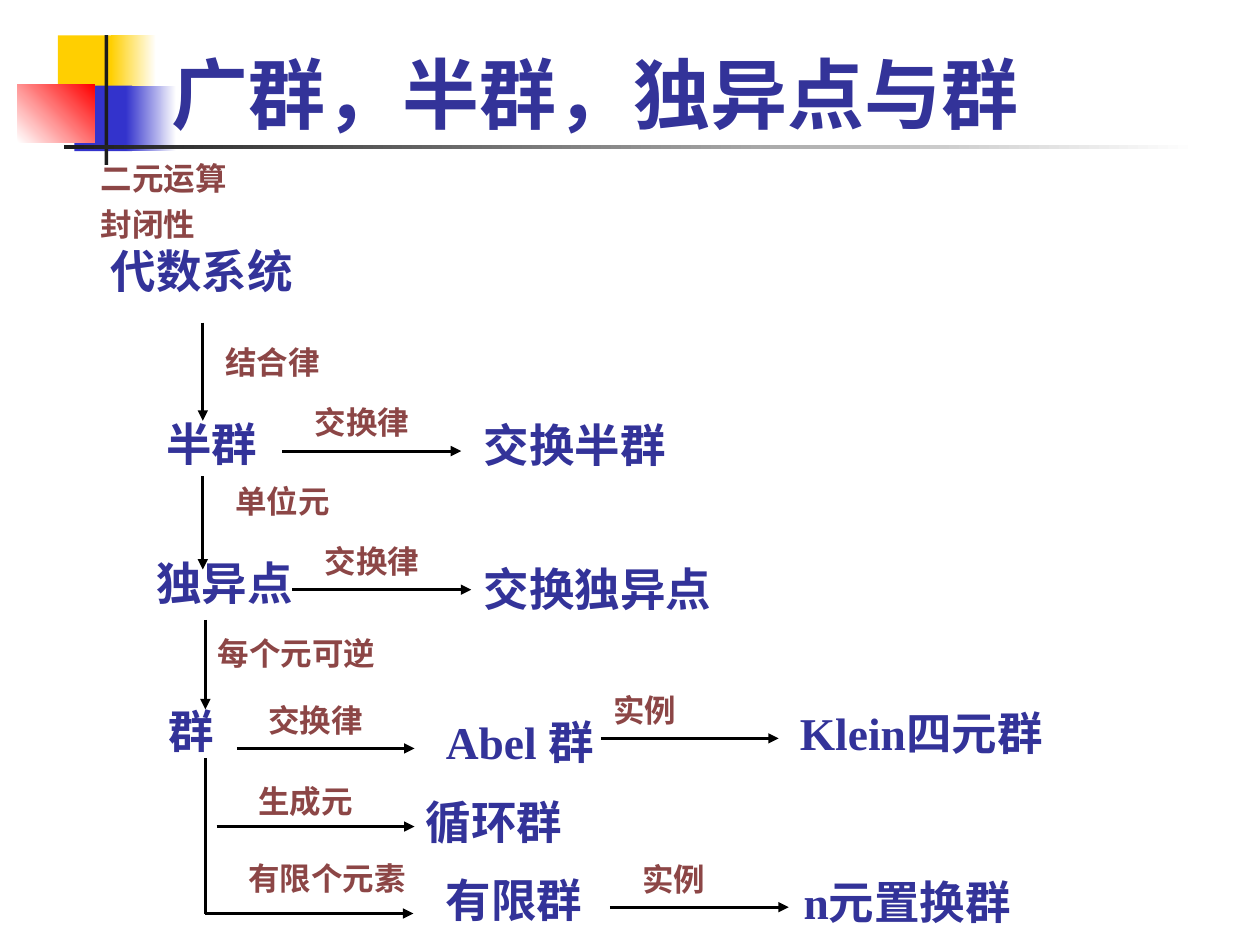
import pptx
import pptx.dml.color
import pptx.enum.shapes
import pptx.enum.text
import pptx.oxml
import pptx.oxml.ns
import pptx.util
from pptx.util import Inches

THEME = {
    "title": {"size": 44, "color": "333399"},
    "term": {"size": 26, "color": "333399", "before": 16.2, "height": 0.54},
    "label": {"size": 18, "color": "8C4646", "before": 6.8, "spacing": 0.9, "height": 0.37},
    "sans": "Roboto",
    "serif": "Times New Roman",
    "arrow": "000000",
    "arrow_width": 1.75,
    "yellow": "FFCF01",
    "blue": "3333CC",
    "red": "FF0000",
    "dark": "1C1C1C",
    "white": "FFFFFF",
}
TITLE = ("广群，半群，独异点与群", 1.26, 0.08, 8.52, 1.07)

ORNAMENTS = [
    (0.46, 0.28, 0.48, 0.52, ["yellow"], 0),
    (0.88, 0.28, 0.36, 0.52, ["yellow", "white"], 0),
    (0.59, 0.68, 0.46, 0.52, ["blue"], 0),
    (1, 0.68, 0.4, 0.52, ["blue", "white"], 0),
    (0.14, 0.67, 0.61, 0.46, ["white", "red"], 45),
    (0.83, 0.28, 0.03, 1.03, ["dark"], 0),
    (0.51, 1.15, 9, 0.03, ["dark", "white"], 0),
]

TERMS = [
    ([("代数系统", "sans")], 0.78, 1.88, 2.06),
    ([("半群", "sans")], 1.22, 3.25, 1.1),
    ([("独异点", "sans")], 1.14, 4.36, 1.42),
    ([("群", "sans")], 1.24, 5.53, 0.71),
    ([("交换半", "serif"), ("群", "sans")], 3.74, 3.26, 1.89),
    ([("交换独异点", "serif")], 3.74, 4.4, 2.44),
    ([("Abel ", "serif"), ("群", "sans")], 3.44, 5.62, 1.57),
    ([("循环群", "sans")], 3.28, 6.25, 1.57),
    ([("有限群", "sans")], 3.44, 6.87, 1.57),
    ([("Klein", "serif"), ("四元群", "sans")], 6.25, 5.55, 2.28),
    ([("n", "serif"), ("元置换群", "sans")], 6.28, 6.89, 2.2),
]

LABELS = [
    (["二元运算", "封闭性"], 0.7, 1.25, 1.34),
    (["结合律"], 1.69, 2.71, 1.34),
    (["单位元"], 1.77, 3.81, 1.34),
    (["每个元可逆"], 1.63, 5.02, 1.65),
    (["交换律"], 2.4, 3.18, 1.34),
    (["交换律"], 2.48, 4.29, 1.34),
    (["交换律"], 2.03, 5.55, 1.34),
    (["生成元"], 1.95, 6.19, 1.34),
    (["有限个元素"], 1.87, 6.8, 1.65),
    (["实例"], 4.77, 5.47, 1.34),
    (["实例"], 5, 6.81, 1.34),
]

DOWN_ARROWS = [(1.61, 2.56, 3.34), (1.61, 3.78, 4.52), (1.63, 4.92, 5.63)]
RIGHT_ARROWS = [
    (3.58, 2.24, 3.66),
    (4.68, 2.32, 3.74),
    (5.94, 1.88, 3.29),
    (6.56, 1.72, 3.29),
    (7.25, 1.63, 3.28),
    (5.86, 4.77, 6.18),
    (7.2, 4.84, 6.26),
]
TRUNK = (1.63, 6.02, 1.63, 7.25)


def rgb(value):
    return pptx.dml.color.RGBColor.from_string(value)


def add_ornament(slide, left, top, width, height, colors, angle):
    shape = slide.shapes.add_shape(
        pptx.enum.shapes.MSO_SHAPE.RECTANGLE, *map(Inches, (left, top, width, height)))
    shape.shadow.inherit = False
    shape.line.fill.background()
    if len(colors) == 1:
        shape.fill.solid()
        shape.fill.fore_color.rgb = rgb(THEME[colors[0]])
        return
    shape.fill.gradient()
    shape.fill.gradient_angle = angle
    for stop, color in zip(shape.fill.gradient_stops, colors):
        stop.color.rgb = rgb(THEME[color])


def add_text(slide, paragraphs, style, left, top, width, height):
    box = slide.shapes.add_textbox(*map(Inches, (left, top, width, height)))
    frame = box.text_frame
    frame.word_wrap = True
    frame.text = "\n".join("" for _ in paragraphs)
    for paragraph, runs in zip(frame.paragraphs, paragraphs):
        paragraph.space_before = pptx.util.Pt(style.get("before", 0))
        paragraph.line_spacing = style.get("spacing", 1.0)
        for text, face in runs:
            run = paragraph.add_run()
            run.text = text
            run.font.name = THEME[face]
            run.font.size = pptx.util.Pt(style["size"])
            run.font.bold = True
            run.font.color.rgb = rgb(style["color"])
            east_asian = pptx.oxml.parse_xml(
                f'<a:ea {pptx.oxml.ns.nsdecls("a")} typeface="{THEME["sans"]}"/>')
            run.font._element.append(east_asian)
    return frame


def add_line(slide, start_x, start_y, end_x, end_y, arrow=True):
    connector = slide.shapes.add_connector(
        pptx.enum.shapes.MSO_CONNECTOR.STRAIGHT,
        *map(Inches, (start_x, start_y, end_x, end_y)))
    connector.line.color.rgb = rgb(THEME["arrow"])
    connector.line.width = pptx.util.Pt(THEME["arrow_width"])
    namespace = pptx.oxml.ns.nsdecls("a")
    if arrow:
        connector.line._get_or_add_ln().append(
            pptx.oxml.parse_xml(f'<a:tailEnd {namespace} type="triangle"/>'))
    connector._element.spPr.append(pptx.oxml.parse_xml(f"<a:effectLst {namespace}/>"))


def main():
    """Build the slide relating groupoids, semigroups, monoids and groups."""
    presentation = pptx.Presentation()
    presentation.slide_width, presentation.slide_height = Inches(10), Inches(7.5)
    slide = presentation.slides.add_slide(presentation.slide_layouts[6])

    for ornament in ORNAMENTS:
        add_ornament(slide, *ornament)

    title, *place = TITLE
    frame = add_text(slide, [[(title, "sans")]], THEME["title"], *place)
    frame.vertical_anchor = pptx.enum.text.MSO_ANCHOR.BOTTOM

    for runs, *place in TERMS:
        add_text(slide, [runs], THEME["term"], *place, THEME["term"]["height"])
    for lines, *place in LABELS:
        paragraphs = [[(line, "serif")] for line in lines]
        height = THEME["label"]["height"] * len(lines)
        add_text(slide, paragraphs, THEME["label"], *place, height)

    for x, top, bottom in DOWN_ARROWS:
        add_line(slide, x, top, x, bottom)
    for y, left, right in RIGHT_ARROWS:
        add_line(slide, left, y, right, y)
    add_line(slide, *TRUNK, arrow=False)

    presentation.save("out.pptx")


if __name__ == "__main__":
    main()
